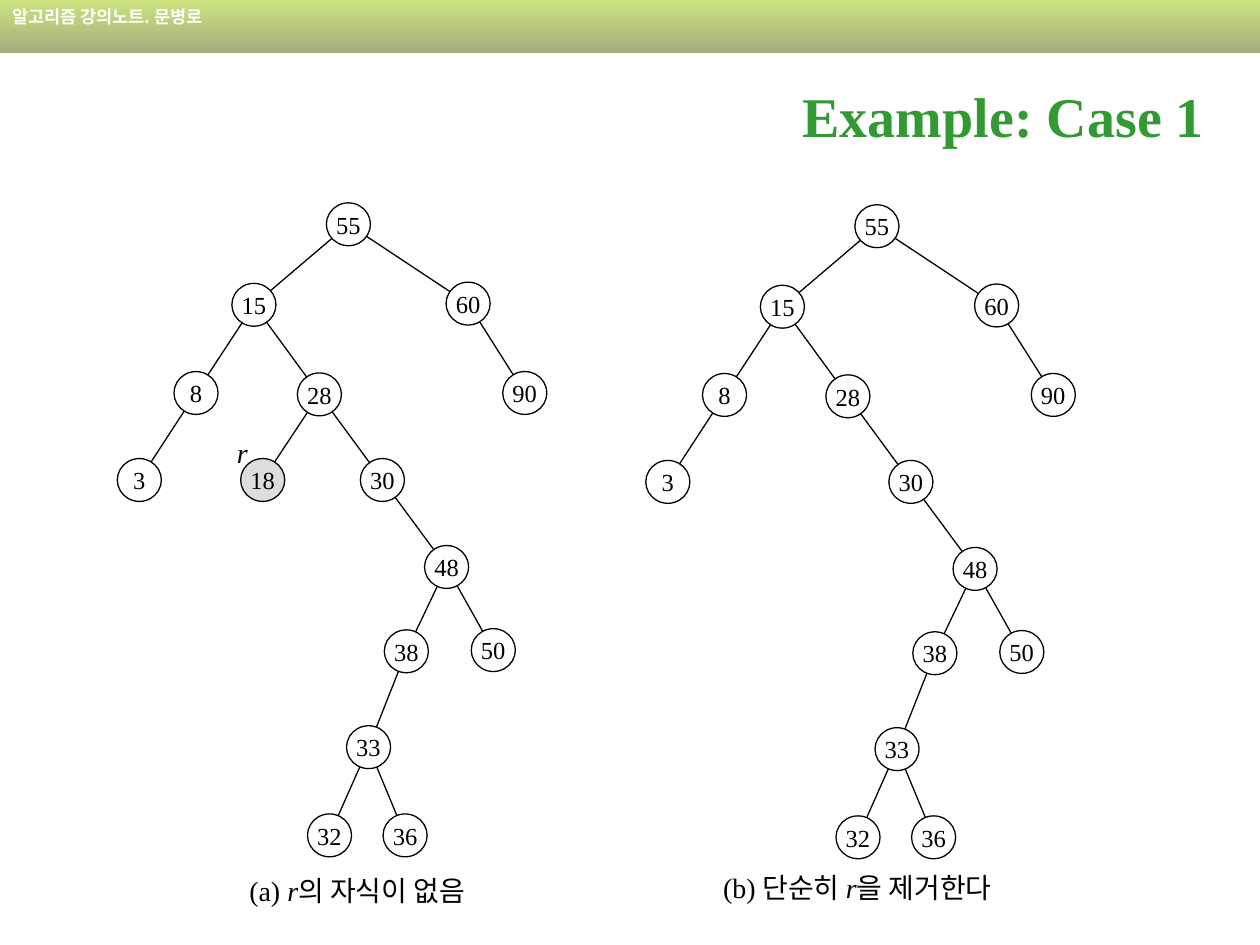
from math import hypot
from lxml import etree
from pptx import Presentation
from pptx.dml.color import RGBColor
from pptx.enum.shapes import MSO_CONNECTOR, MSO_SHAPE
from pptx.enum.text import MSO_ANCHOR, MSO_AUTO_SIZE, PP_ALIGN
from pptx.oxml.ns import qn
from pptx.util import Pt

RECT, OVAL = MSO_SHAPE.RECTANGLE, MSO_SHAPE.OVAL
LINE = MSO_CONNECTOR.STRAIGHT
TOP, MID = MSO_ANCHOR.TOP, MSO_ANCHOR.MIDDLE
LEFT, MIDDLE = PP_ALIGN.LEFT, PP_ALIGN.CENTER
FIXED = MSO_AUTO_SIZE.NONE
SERIF, HANGUL = "Times New Roman", "Noto Sans CJK KR"
BLACK = "000000"


def color(code):
    return RGBColor.from_string(code)


def write(shape, runs, size, code=BLACK, bold=False, face=SERIF,
          align=LEFT, anchor=TOP, wrap=False):
    """Fill a shape with one paragraph of (text, italic) runs."""
    frame = shape.text_frame
    frame.auto_size = FIXED
    frame.word_wrap = wrap
    frame.vertical_anchor = anchor
    para = frame.paragraphs[0]
    para.alignment = align
    for text, slant in runs:
        run = para.add_run()
        run.text = text
        font = run.font
        font.name, font.size = face, Pt(size)
        font.bold, font.italic = bold, slant
        font.color.rgb = color(code)
        east = etree.SubElement(run._r.get_or_add_rPr(), qn("a:ea"))
        east.set("typeface", HANGUL)


deck = Presentation()
deck.slide_width, deck.slide_height = Pt(720), Pt(540)
slide = deck.slides.add_slide(deck.slide_layouts[5])
shapes = slide.shapes

# Title
title = shapes.title
title.left, title.top = Pt(431.3), Pt(34.6)
title.width, title.height = Pt(284.4), Pt(61.9)
write(title, [("Example: Case 1", False)], 32, "339933", True,
      align=MIDDLE, anchor=MID, wrap=True)

# Header band, fading downwards at half opacity
band = shapes.add_shape(RECT, 0, 0, Pt(720), Pt(30.2))
band.shadow.inherit = False
band.line.fill.background()
band.fill.gradient()
band.fill.gradient_angle = 270
for stop, code in zip(band.fill.gradient_stops, ("99CC00", "475E00")):
    stop.color.rgb = color(code)
for tint in band._element.spPr.iter(qn("a:srgbClr")):
    etree.SubElement(tint, qn("a:alpha")).set("val", "50000")
write(band, [("알고리즘 강의노트. 문병로", False)], 10, "FFFFFF", True,
      HANGUL, wrap=True)

# Binary search tree: key -> (centre x, centre y, parent)
WIDE, HIGH, REACH = 25.2, 24.5, 12.4
TREE = {
    55: (199.1, 128.2, None),
    15: (145.1, 174.2, 55),
    60: (267.5, 173.5, 55),
    8: (112, 224.6, 15),
    28: (182.5, 225.4, 15),
    90: (299.9, 224.6, 60),
    3: (79.6, 274.3, 8),
    18: (150.1, 274.3, 28),
    30: (218.5, 274.3, 28),
    48: (255.2, 324, 30),
    38: (232.2, 372.2, 48),
    50: (281.9, 371.5, 48),
    33: (210.6, 427, 38),
    32: (188.3, 477.4, 33),
    36: (231.5, 477.4, 33),
}
GONE = 18

# The tree before and after key 18 is removed
for dx, dy, after in ((0, 0, False), (302, 1.1, True)):
    for key, (x, y, parent) in TREE.items():
        if after and key == GONE:
            continue
        x, y = x + dx, y + dy

        # Edge from the rim of the parent to the rim of the child
        if parent:
            px, py = TREE[parent][0] + dx, TREE[parent][1] + dy
            part = REACH / hypot(x - px, y - py)
            gx, gy = (x - px) * part, (y - py) * part
            edge = shapes.add_connector(LINE, Pt(px + gx), Pt(py + gy),
                                        Pt(x - gx), Pt(y - gy))
            edge.line.color.rgb = color(BLACK)
            edge.line.width = Pt(0.75)
            etree.SubElement(edge._element.spPr, qn("a:effectLst"))

        node = shapes.add_shape(OVAL, Pt(x - WIDE / 2), Pt(y - HIGH / 2),
                                Pt(WIDE), Pt(HIGH))
        node.shadow.inherit = False
        node.fill.solid()
        node.fill.fore_color.rgb = color("DDDDDD" if key == GONE else "FFFFFF")
        node.line.color.rgb = color(BLACK)
        node.line.width = Pt(0.75)
        write(node, [(str(key), False)], 14, align=MIDDLE, anchor=MID)

# Node mark and captions
NOTES = [
    (128.2, 245.5, 20.2, [("r", True)]),
    (135.4, 495.4, 146.9,
     [("(a) ", False), ("r", True), ("의 자식이 없음", False)]),
    (406.1, 493.9, 180.7,
     [("(b) 단순히 ", False), ("r", True), ("을 제거한다", False)]),
]
for x, y, wide, runs in NOTES:
    note = shapes.add_textbox(Pt(x), Pt(y), Pt(wide), Pt(26.6))
    write(note, runs, 16)

deck.save("out.pptx")
